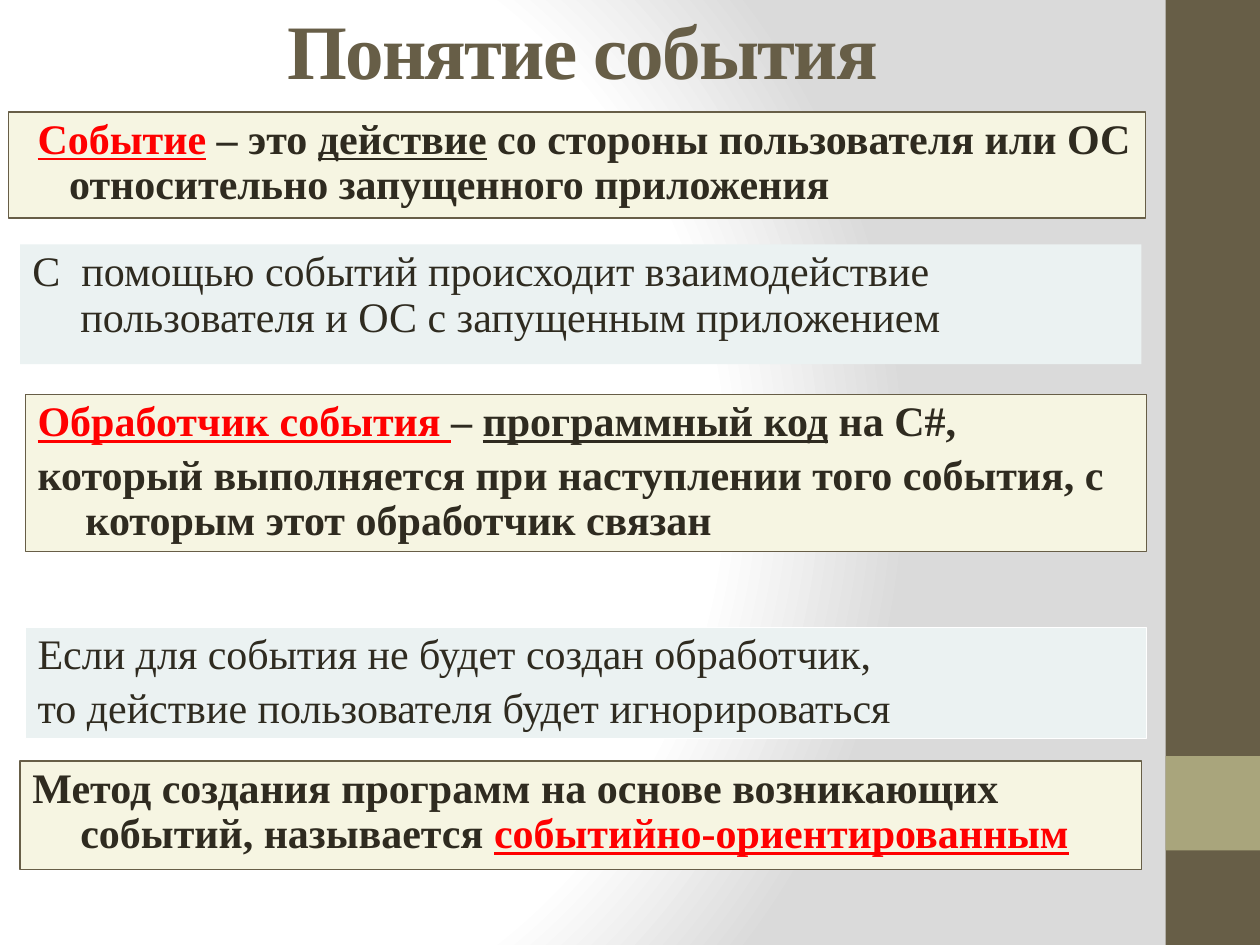
import pptx
import pptx.util
import pptx.dml.color
import pptx.enum.shapes
import pptx.enum.text
import pptx.oxml
import pptx.oxml.ns

Inches, Pt = pptx.util.Inches, pptx.util.Pt
FONT = "Times New Roman"
COLORS = {
    "brown": "675E47", "olive": "A9A57C", "cream": "F6F5E2", "mint": "EBF2F2",
    "red": "FF0000", "ink": "2F2B20", "white": "FFFFFF", "gray": "DADADA",
}

# Content: each run is (text, style letters): b bold, u underlined, r red
TITLE = "Понятие события"
BOXES = [
    # (left, top, width, height), fill, line, first-line outdent, paragraphs
    ((0.07, 0.89, 9.02, 0.84), "cream", "brown", 0.25, [
        [("Событие", "bur"), (" – это ", "b"), ("действие", "bu"),
         (" со стороны пользователя или ОС относительно запущенного приложения", "b")]]),
    ((0.16, 1.94, 8.9, 0.95), "mint", None, 0.38, [
        [("С  помощью событий происходит взаимодействие пользователя и ОС "
          "с запущенным приложением", "")]]),
    ((0.2, 3.13, 8.9, 1.25), "cream", "brown", 0.38, [
        [("Обработчик события ", "bur"), ("– ", "b"),
         ("программный код", "bu"), (" на С#,", "b")],
        [("который выполняется при наступлении того события, "
          "с которым этот обработчик связан", "b")]]),
    ((0.2, 4.98, 8.9, 0.88), "mint", "white", 0.38, [
        [("Если для события не будет создан обработчик,", "")],
        [("то действие пользователя будет игнорироваться", "")]]),
    ((0.16, 6.04, 8.9, 0.86), "cream", "brown", 0.38, [
        [("Метод создания программ на основе возникающих событий, называется ", "b"),
         ("событийно-ориентированным", "bur")]]),
]
SIDEBAR = [((9.25, 0, 0.75, 7.5), "brown"), ((9.25, 6, 0.75, 0.75), "olive")]


def rgb(name):
    return pptx.dml.color.RGBColor.from_string(COLORS[name])


def add_rect(s, box, fill, line=None):
    sp = s.shapes.add_shape(pptx.enum.shapes.MSO_SHAPE.RECTANGLE, *map(Inches, box))
    sp.shadow.inherit = False
    sp.fill.solid()
    sp.fill.fore_color.rgb = rgb(fill)
    if line:
        sp.line.color.rgb = rgb(line)
        sp.line.width = Pt(0.75)
    else:
        sp.line.fill.background()
    return sp


def style_run(r, size, color, bold, underline=False):
    r.font.name = FONT
    r.font.size = Pt(size)
    r.font.bold = bold
    r.font.underline = underline
    r.font.color.rgb = rgb(color)


def set_background(s):
    s.background.fill.gradient()
    old = s.element.find(".//" + pptx.oxml.ns.qn("a:gradFill"))
    stops = "".join(
        f'<a:gs pos="{pos * 1000}"><a:srgbClr val="{COLORS[c]}"/></a:gs>'
        for pos, c in [(0, "white"), (75, "white"), (100, "gray")])
    new = pptx.oxml.parse_xml(
        f'<a:gradFill {pptx.oxml.ns.nsdecls("a")} rotWithShape="1">'
        f'<a:gsLst>{stops}</a:gsLst><a:path path="circle">'
        '<a:fillToRect l="20000" t="50000" r="100000" b="50000"/>'
        '</a:path></a:gradFill>')
    old.getparent().replace(old, new)


def add_text_box(s, box, fill, line, outdent, paragraphs):
    tf = add_rect(s, box, fill, line).text_frame
    tf.word_wrap = True
    tf.vertical_anchor = pptx.enum.text.MSO_ANCHOR.TOP
    for i, runs in enumerate(paragraphs):
        p = tf.add_paragraph() if i else tf.paragraphs[0]
        p.alignment = pptx.enum.text.PP_ALIGN.LEFT
        p.line_spacing = 0.9
        p.space_before = Pt(4.8)
        pPr = p._p.get_or_add_pPr()
        pPr.set("marL", str(Inches(0.38)))
        pPr.set("indent", str(-Inches(outdent)))
        for text, style in runs:
            r = p.add_run()
            r.text = text
            style_run(r, 24, "red" if "r" in style else "ink", "b" in style, "u" in style)


prs = pptx.Presentation()
prs.slide_width, prs.slide_height = Inches(10), Inches(7.5)
s = prs.slides.add_slide(prs.slide_layouts[5])
set_background(s)

# Sidebar
for box, fill in SIDEBAR:
    add_rect(s, box, fill)

# Title
title = s.shapes.title
title.left, title.top, title.width, title.height = map(Inches, (0, 0, 9.25, 0.78))
tf = title.text_frame
tf.text = TITLE
tf.vertical_anchor = pptx.enum.text.MSO_ANCHOR.MIDDLE
p = tf.paragraphs[0]
p.alignment = pptx.enum.text.PP_ALIGN.CENTER
r = p.runs[0]
style_run(r, 44, "brown", True)
r.font._element.set("spc", "-100")

# Definitions
for item in BOXES:
    add_text_box(s, *item)

prs.save("out.pptx")
